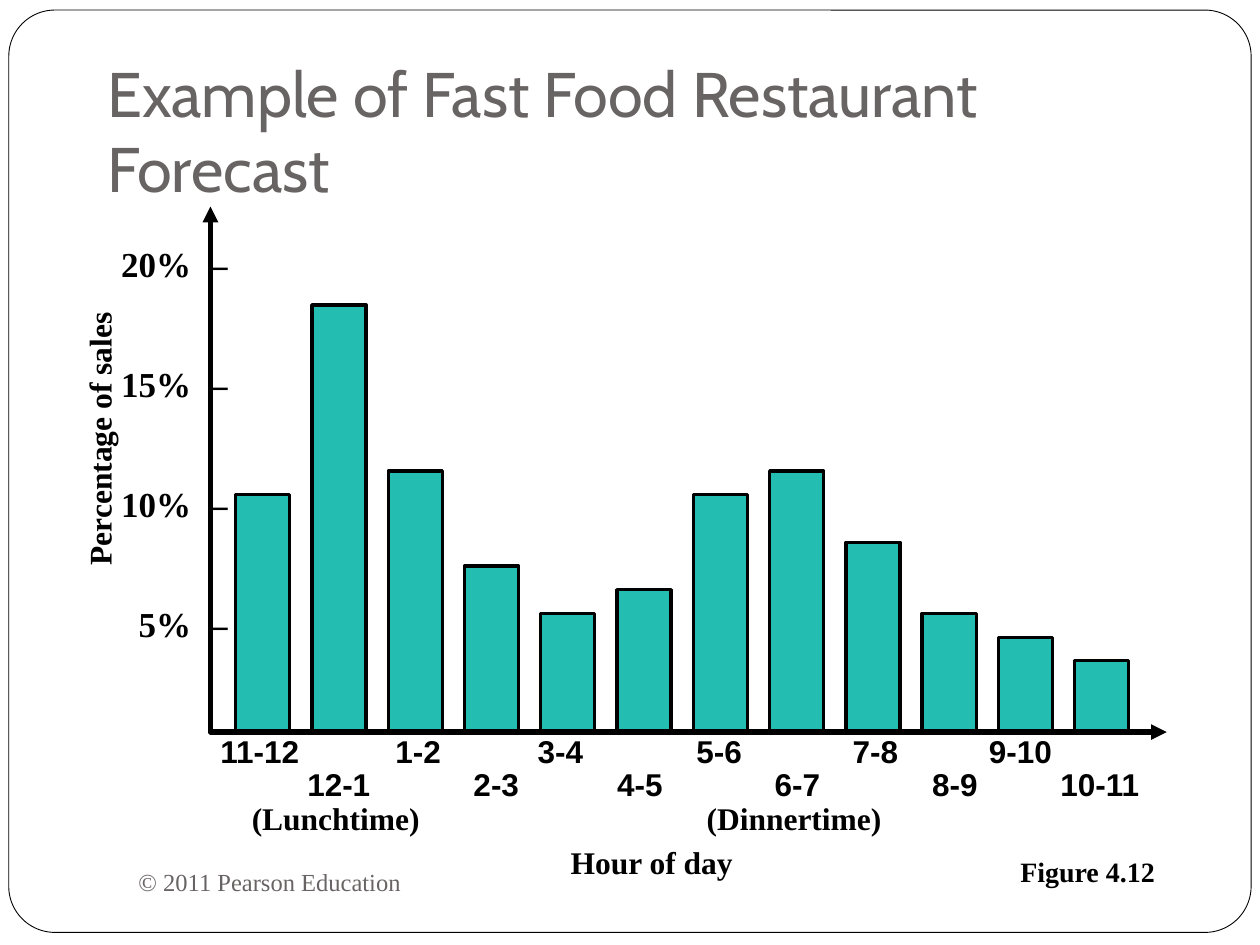
from typing import NamedTuple

from lxml.etree import SubElement
from pptx import Presentation
from pptx.dml.color import RGBColor
from pptx.enum.shapes import MSO_SHAPE
from pptx.enum.text import MSO_ANCHOR
from pptx.oxml.ns import qn
from pptx.util import Inches, Pt

SERIF = "Times New Roman"
GREY, BLACK, TEAL, WHITE = "696464", "000000", "24BDB2", "FFFFFF"

AXIS_LEFT, AXIS_TOP, AXIS_RIGHT, BASELINE = 1.67, 1.64, 9.26, 5.81
FIRST_BAR, LAST_BAR, BAR_WIDTH = 1.87, 8.53, 0.43
INCHES_PER_PERCENT = 3.39 / 18


class HourSales(NamedTuple):
    hours: str
    percent: int


class Label(NamedTuple):
    text: str
    left: float
    top: float
    width: float
    height: float
    size: float = 18
    color: str = BLACK
    bold: bool = True
    rotation: float = 0


class Tab(NamedTuple):
    position: float
    alignment: str


SALES = [
    HourSales("11-12", 10), HourSales("12-1", 18), HourSales("1-2", 11),
    HourSales("2-3", 7), HourSales("3-4", 5), HourSales("4-5", 6),
    HourSales("5-6", 10), HourSales("6-7", 11), HourSales("7-8", 8),
    HourSales("8-9", 5), HourSales("9-10", 4), HourSales("10-11", 3),
]
HOUR_TABS = [Tab(position, "ctr") for position in
             (0.94, 1.57, 2.19, 2.70, 3.33, 3.96, 4.58, 5.20, 5.83, 6.35, 6.98)]
TICK_TABS = [Tab(0.57, "r"), Tab(0.72, "l")]
LABELS = [
    Label("© 2011 Pearson Education", 1, 6.75, 4.33, 0.5, 14, GREY, False),
    Label("(Lunchtime)", 1.9, 6.29, 1.63, 0.4),
    Label("(Dinnertime)", 5.51, 6.29, 1.67, 0.4),
    Label("Hour of day", 4.43, 6.64, 1.59, 0.4),
    Label("Percentage of sales", -0.49, 3.11, 2.55, 0.4, rotation=270),
    Label("Figure 4.12", 8, 6.73, 1.38, 0.37, 16),
]


def rgb(color: str) -> RGBColor:
    return RGBColor.from_string(color)


def add_run(paragraph, text: str, font: str, size: float, color: str, bold: bool) -> None:
    run = paragraph.add_run()
    run.text = text
    run.font.name = font
    run.font.size = Pt(size)
    run.font.bold = bold
    run.font.color.rgb = rgb(color)


def add_box(slide, left: float, top: float, width: float, height: float):
    return slide.shapes.add_textbox(Inches(left), Inches(top), Inches(width), Inches(height))


def add_label(slide, label: Label) -> None:
    box = add_box(slide, label.left, label.top, label.width, label.height)
    box.rotation = label.rotation
    frame = box.text_frame
    frame.word_wrap = False
    frame.vertical_anchor = MSO_ANCHOR.MIDDLE
    add_run(frame.paragraphs[0], label.text, SERIF, label.size, label.color, label.bold)


def add_tabbed_lines(box, lines: list[str], tabs: list[Tab], pitch: float,
                     font: str, size: float) -> None:
    frame = box.text_frame
    frame.word_wrap = True
    frame.margin_right = 0
    for index, line in enumerate(lines):
        paragraph = frame.add_paragraph() if index else frame.paragraphs[0]
        paragraph.line_spacing = Pt(pitch)
        properties = paragraph._p.get_or_add_pPr()
        tab_list = SubElement(properties, qn("a:tabLst"))
        for tab in tabs:
            SubElement(tab_list, qn("a:tab"), pos=str(Inches(tab.position)), algn=tab.alignment)
        add_run(paragraph, line, font, size, BLACK, True)


def add_filled_shape(slide, kind, left: float, top: float, width: float, height: float,
                     fill: str, line_width: float):
    shape = slide.shapes.add_shape(kind, Inches(left), Inches(top), Inches(width), Inches(height))
    shape.shadow.inherit = False
    shape.fill.solid()
    shape.fill.fore_color.rgb = rgb(fill)
    shape.line.color.rgb = rgb(BLACK)
    shape.line.width = Pt(line_width)
    return shape


def add_bars(slide) -> None:
    step = (LAST_BAR - FIRST_BAR) / (len(SALES) - 1)
    for index, sales in enumerate(SALES):
        height = sales.percent * INCHES_PER_PERCENT
        add_filled_shape(slide, MSO_SHAPE.RECTANGLE, FIRST_BAR + index * step,
                         BASELINE - height, BAR_WIDTH, height, TEAL, 1.88)


def add_axes(slide) -> None:
    builder = slide.shapes.build_freeform(Inches(AXIS_LEFT), Inches(AXIS_TOP))
    corner = (Inches(AXIS_LEFT), Inches(BASELINE))
    builder.add_line_segments([corner, (Inches(AXIS_RIGHT), Inches(BASELINE))], close=False)
    axes = builder.convert_to_shape()
    axes.shadow.inherit = False
    axes.fill.background()
    axes.line.color.rgb = rgb(BLACK)
    axes.line.width = Pt(3)
    line = axes.line._get_or_add_ln()
    for end in ("a:headEnd", "a:tailEnd"):
        SubElement(line, qn(end), type="triangle")


def add_axis_labels(slide) -> None:
    ticks = [f"\t{percent}%\t–" for percent in (20, 15, 10, 5)]
    add_tabbed_lines(add_box(slide, 0.85, 1.26, 1.06, 3.9), ticks, TICK_TABS, 68.5, SERIF, 20)
    hours = [sales.hours for sales in SALES]
    rows = ["\t\t".join(hours[::2]), "\t" + "\t\t".join(hours[1::2])]
    add_tabbed_lines(add_box(slide, 1.65, 5.8, 7.69, 0.61), rows, HOUR_TABS, 18.9, "Arial", 18)


def format_title(title) -> None:
    title.left, title.top = Inches(0.75), Inches(0.4)
    title.width, title.height = Inches(8.97), Inches(1.33)
    frame = title.text_frame
    frame.word_wrap = True
    frame.vertical_anchor = MSO_ANCHOR.BOTTOM
    frame.margin_bottom = Inches(0.1)
    paragraph = frame.paragraphs[0]
    paragraph.alignment = 1
    add_run(paragraph, "Example of Fast Food Restaurant Forecast", "Cabin", 36, GREY, False)


def main() -> None:
    presentation = Presentation()
    presentation.slide_width, presentation.slide_height = Inches(10), Inches(7.5)
    slide = presentation.slides.add_slide(presentation.slide_layouts[5])
    title = slide.shapes.title
    format_title(title)
    border = add_filled_shape(slide, MSO_SHAPE.ROUNDED_RECTANGLE,
                              0.07, 0.08, 9.86, 7.32, WHITE, 0.5)
    border.adjustments[0] = 0.05
    title._element.addprevious(border._element)
    add_bars(slide)
    add_axes(slide)
    add_axis_labels(slide)
    for label in LABELS:
        add_label(slide, label)
    presentation.save("out.pptx")


if __name__ == "__main__":
    main()
